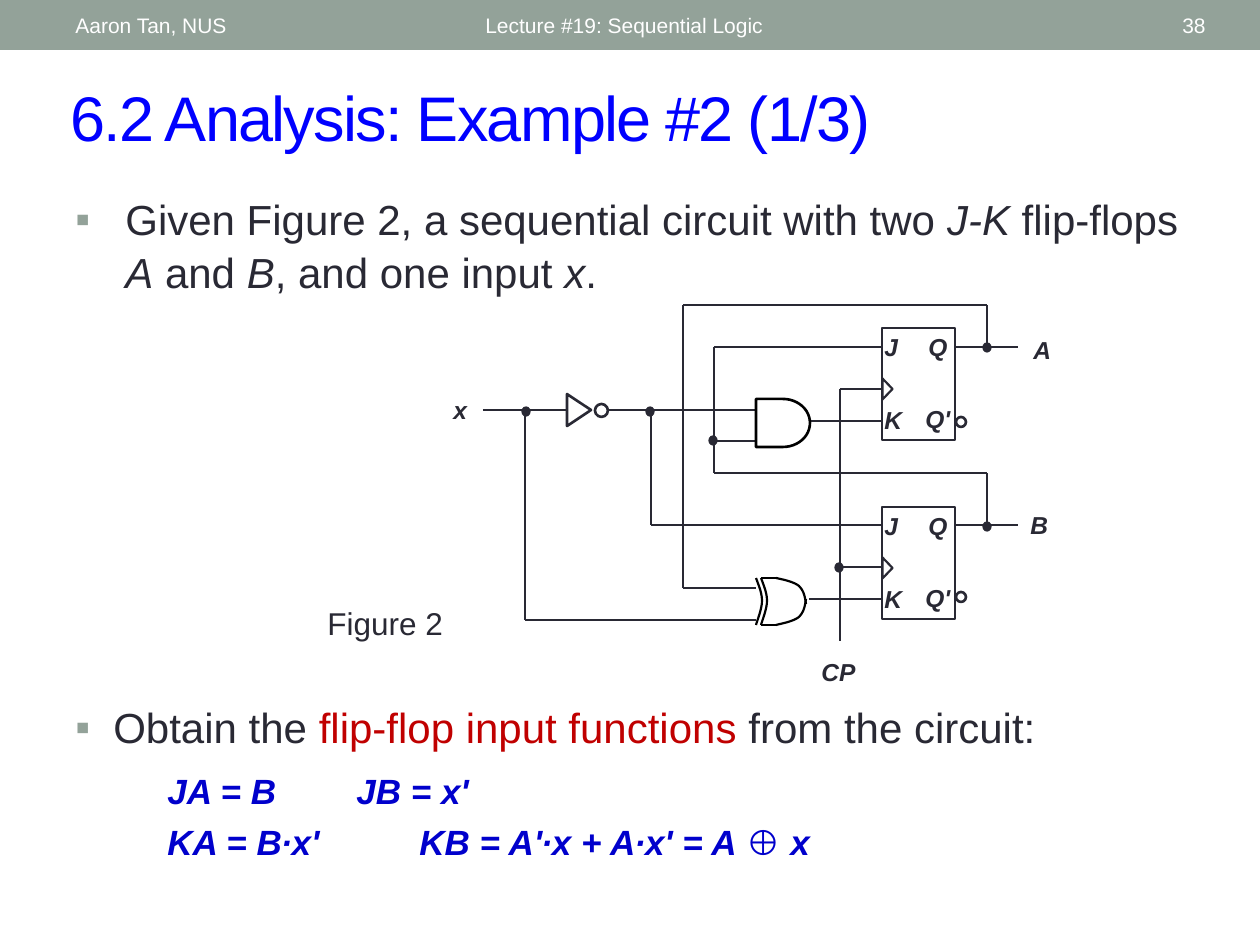
import pptx
import pptx.util
import pptx.dml.color
import pptx.enum.shapes
import pptx.enum.text
import pptx.oxml.ns
import lxml.etree

SCALE = 914400 / 126
HUES = {"bar": "93A299", "ink": "292934", "white": "FFFFFF", "black": "000000",
        "title": "0000FF", "red": "C00000", "blue": "0000CC"}
KINDS = pptx.enum.shapes.MSO_SHAPE
ANCHORS = pptx.enum.text.MSO_ANCHOR
ALIGNS = pptx.enum.text.PP_ALIGN


def px(n):
    return pptx.util.Emu(round(n * SCALE))


def hue(name):
    return pptx.dml.color.RGBColor.from_string(HUES[name])


def tag(parent, name, **attrs):
    node = lxml.etree.SubElement(parent, pptx.oxml.ns.qn(name))
    for key, value in attrs.items():
        node.set(key, str(value))
    return node


def write(para, text, size=24, color="ink", bold=False, italic=False, track=0):
    run = para.add_run()
    run.text = text
    font = run.font
    font.name, font.size = "Arial", pptx.util.Pt(size)
    font.bold, font.italic = bold, italic
    font.color.rgb = hue(color)
    if track:
        run._r.get_or_add_rPr().set("spc", str(track))


class Deck:
    """Holds the style and the current slide, and draws each kind of element."""

    def __init__(self, wide, high):
        self.show = pptx.Presentation()
        self.show.slide_width, self.show.slide_height = px(wide), px(high)
        self.slide = self.show.slides.add_slide(self.show.slide_layouts[6])
        self.shapes = self.slide.shapes

    def trim(self, shape, fill, line, width):
        shape.shadow.inherit = False
        if fill:
            shape.fill.solid()
            shape.fill.fore_color.rgb = hue(fill)
        else:
            shape.fill.background()
        if line:
            shape.line.color.rgb = hue(line)
            shape.line.width = pptx.util.Pt(width)
        else:
            shape.line.fill.background()

    def shape(self, kind, x, y, w, h, fill=None, line="ink", width=1.5, turn=0):
        item = self.shapes.add_shape(kind, px(x), px(y), px(w), px(h))
        item.rotation = turn
        self.trim(item, fill, line, width)

    def frame(self, x, y, w, h, wrap=True, anchor=ANCHORS.TOP):
        frame = self.shapes.add_textbox(px(x), px(y), px(w), px(h)).text_frame
        frame.word_wrap, frame.vertical_anchor = wrap, anchor
        return frame

    def text(self, x, y, w, h, text, align=ALIGNS.LEFT, anchor=ANCHORS.MIDDLE, **style):
        para = self.frame(x, y, w, h, anchor=anchor).paragraphs[0]
        para.alignment = align
        write(para, text, **style)

    def label(self, x, y, w, text):
        para = self.frame(x, y, w, 42, wrap=False).paragraphs[0]
        write(para, text, size=14, bold=True, italic=True)

    def para(self, para, left, hang, runs, bullet=False, before=0):
        props = para._p.get_or_add_pPr()
        props.set("marL", str(px(left)))
        props.set("indent", str(px(-hang)))
        para.line_spacing, para.space_before = 1.05, pptx.util.Pt(before)
        if bullet:
            tag(tag(props, "a:buClr"), "a:srgbClr", val=HUES["bar"])
            tag(props, "a:buFont", typeface="Arial")
            tag(props, "a:buChar", char="▪")
        else:
            tag(props, "a:buNone")
        for text, style in runs:
            write(para, text, **style)

    def wire(self, *points, color="ink"):
        for (x, y), (u, v) in zip(points, points[1:]):
            line = self.shapes.add_connector(
                pptx.enum.shapes.MSO_CONNECTOR.STRAIGHT, px(x), px(y), px(u), px(v))
            line.line.color.rgb = hue(color)
            line.line.width = pptx.util.Pt(1.25)
            tag(line._element.spPr, "a:effectLst")

    def curve(self, *points, steps=10):
        dots = []
        for i in range(0, len(points) - 1, 3):
            a, b, c, d = points[i:i + 4]
            for n in range(1, steps + 1):
                t = n / steps
                s = 1 - t
                dots.append(tuple(
                    px(s**3 * e + 3 * s * s * t * f + 3 * s * t * t * g + t**3 * h)
                    for e, f, g, h in zip(a, b, c, d)))
        path = self.shapes.build_freeform(px(points[0][0]), px(points[0][1]))
        path.add_line_segments(dots, close=False)
        self.trim(path.convert_to_shape(), None, "black", 1.25)

    def dot(self, x, y):
        self.shape(KINDS.OVAL, x - 4, y - 4, 8, 9, fill="ink", width=0.75)

    def flip(self, y, ring):
        self.shape(KINDS.RECTANGLE, 882, y, 73, 112)
        self.shape(KINDS.ISOSCELES_TRIANGLE, 877, y + 56, 21, 10, width=1.25, turn=90)
        self.label(872, y - 2, 39, "J")
        self.label(916, y - 2, 44, "Q")
        self.label(872, y + 71, 43, "K")
        self.label(913, y + 70, 53, "Q'")
        self.shape(KINDS.OVAL, 956, ring, 10, 10, fill="white")


def main():
    deck = Deck(1260, 945)
    deck.shape(KINDS.RECTANGLE, 0, 0, 1260, 50, fill="bar", line=None)
    head = {"size": 12, "color": "white"}
    deck.text(63, 3, 399, 45, "Aaron Tan, NUS", **head)
    deck.text(473, 3, 567, 45, "Lecture #19: Sequential Logic", **head)
    deck.text(1099, 3, 119, 45, "38", align=ALIGNS.RIGHT, **head)
    deck.text(58, 72, 1160, 88, "6.2 Analysis: Example #2 (1/3)",
              size=36, color="title", track=-100)

    slant = {"italic": True}
    given = deck.frame(63, 185, 1134, 120)
    deck.para(given.paragraphs[0], 50, 50, [
        ("Given Figure 2, a sequential circuit with two ", {}), ("J-K", slant),
        (" flip-flops ", {}), ("A", slant), (" and ", {}), ("B", slant),
        (", and one input ", {}), ("x", slant), (".", {})], bullet=True)

    goal = deck.frame(63, 693, 1134, 168)
    deck.para(goal.paragraphs[0], 38, 38, [
        ("Obtain the ", {}), ("flip-flop input functions ", {"color": "red"}),
        ("from the circuit:", {})], bullet=True)
    math = {"size": 20, "color": "blue", "bold": True}
    lean = {**math, **slant}
    for runs in (
            [("\t", {"size": 26, "color": "blue", "italic": True}),
             ("JA = B\t\tJB = x'", lean)],
            [("\tKA = B∙x'\t\tKB = A'∙x + A∙x' = A ", lean), ("⊕", math), (" x", lean)]):
        deck.para(goal.add_paragraph(), 92, 45, runs, before=2.5)

    for points in (
            [(955, 347), (1018, 347)], [(955, 525), (1018, 525)],
            [(987, 347), (987, 305), (683, 305), (683, 588), (756, 588)],
            [(987, 525), (987, 473), (714, 473), (714, 347), (882, 347)],
            [(714, 441), (756, 441)], [(809, 421), (882, 421)],
            [(483, 410), (567, 410)], [(609, 410), (756, 410)],
            [(525, 410), (525, 620), (756, 620)],
            [(651, 410), (651, 525), (882, 525)],
            [(840, 641), (840, 389), (882, 389)],
            [(840, 567), (882, 567)], [(809, 599), (882, 599)]):
        deck.wire(*points)
    for x, y in ((987, 347), (987, 526), (526, 411), (650, 411), (713, 440), (839, 567)):
        deck.dot(x, y)

    deck.shape(KINDS.FLOWCHART_DELAY, 756, 399, 54, 48, line="black")
    deck.shape(KINDS.FLOWCHART_EXTRACT, 563, 398, 32, 24, turn=90)
    deck.shape(KINDS.OVAL, 595, 404, 13, 13)
    for x in (756, 761):
        deck.curve((x, 578), (x + 3, 586), (x + 6, 593), (x + 6, 601),
                   (x + 6, 609), (x + 1, 621), (x, 625))
    for y, way in ((578, 1), (625, -1)):
        deck.wire((761, y), (776, y), color="black")
        rise = ((776, 0), (785, 2), (794, 4), (799, 8), (804, 13), (805, 19), (806, 26))
        deck.curve(*((x, y + way * up) for x, up in rise))

    deck.flip(328, 417)
    deck.flip(507, 592)
    for x, y, w, name in ((1021, 329, 43, "A"), (1018, 504, 43, "B"),
                          (441, 389, 39, "x"), (809, 651, 59, "CP")):
        deck.label(x, y, w, name)
    deck.text(315, 598, 158, 50, "Figure 2", anchor=ANCHORS.TOP, size=18)
    deck.show.save("out.pptx")


if __name__ == "__main__":
    main()
